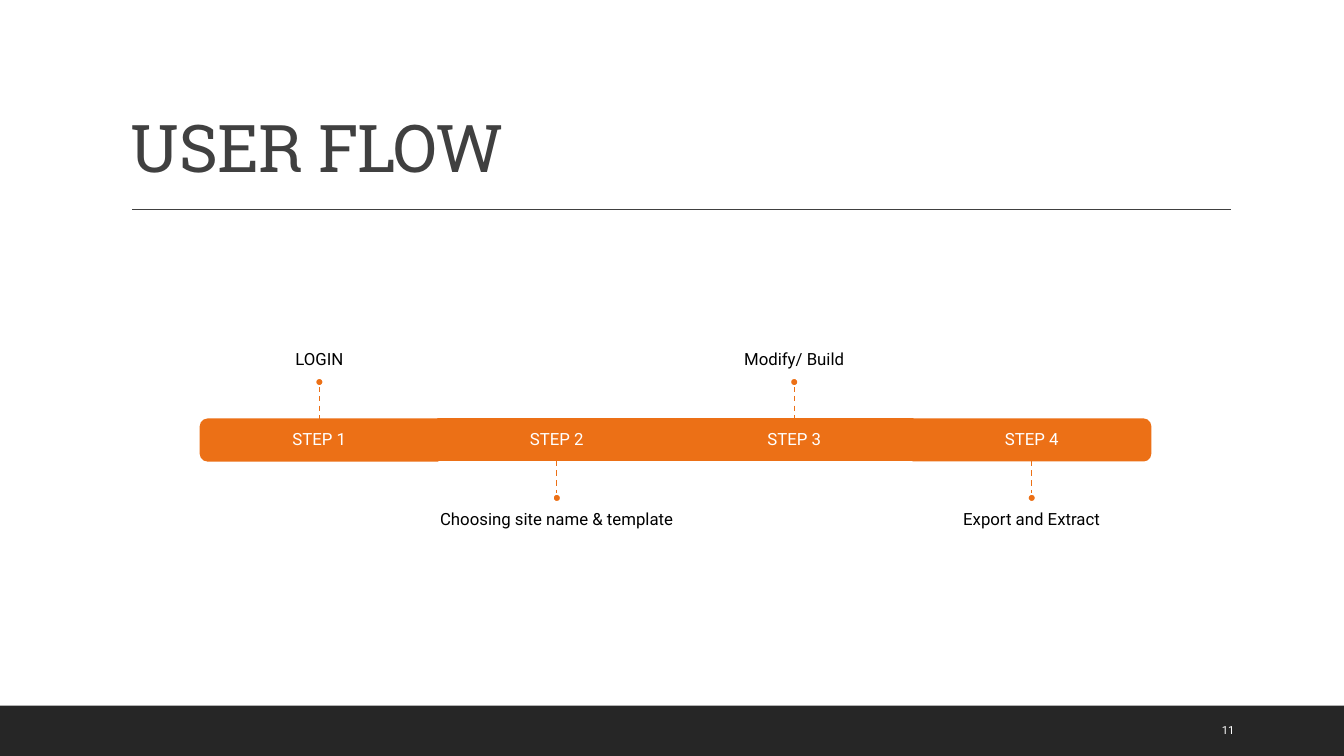
from lxml.etree import SubElement
from pptx import Presentation
from pptx.dml.color import RGBColor
from pptx.enum.dml import MSO_LINE
from pptx.enum.shapes import MSO_CONNECTOR, MSO_SHAPE
from pptx.enum.text import MSO_ANCHOR, PP_ALIGN
from pptx.oxml.ns import qn
from pptx.util import Inches, Pt

ORANGE, WHITE, GREY = "EC7016", "FFFFFF", "404040"

deck = Presentation()
deck.slide_width, deck.slide_height = Inches(13.33), Inches(7.5)
slide = deck.slides.add_slide(deck.slide_layouts[6])
shapes = slide.shapes


def paint(target, color):
    """Give a fill, or the fill of a line, one solid colour."""
    target.solid()
    target.fore_color.rgb = RGBColor.from_string(color)


def write(box, text, size, color, font="Roboto", align=PP_ALIGN.CENTER, **frame):
    """Put one line of text in a box; frame holds text frame values."""
    for name, value in {"word_wrap": True, **frame}.items():
        setattr(box.text_frame, name, value)
    para = box.text_frame.paragraphs[0]
    para.alignment, para.line_spacing = align, 0.9
    run = para.add_run()
    run.text = text
    for name, value in {"size": Pt(size), "name": font}.items():
        setattr(run.font, name, value)
    paint(run.font.fill, color)
    return run


# Footer band, title and rule
band = shapes.add_shape(MSO_SHAPE.RECTANGLE, 0, Inches(7), Inches(13.33), Inches(0.5))
band.shadow.inherit = False
paint(band.fill, "262626")
band.line.fill.background()

title = shapes.add_textbox(Inches(1.2), Inches(0.31), Inches(11), Inches(1.59))
run = write(title, "USER FLOW", 47, GREY, "Roboto Slab", PP_ALIGN.LEFT,
            vertical_anchor=MSO_ANCHOR.BOTTOM)
run.font._element.set("spc", "-50")

# Rule and stems: x1, y1, x2, y2, colour, dash
lines = [(1.31, 2.08, 12.21, 2.08, GREY, None)]

# Steps, with notes above and below by turns
notes = ["LOGIN", "Choosing site name & template", "Modify/ Build", "Export and Extract"]
left, top, width, high = 1.99, 4.16, 9.42 / 4, 0.41
stem, dot, wide, tall = 0.33, 0.08, 3.93, 1.45
turns = {0: 270, len(notes) - 1: 90}
dots = []

for i, note in enumerate(notes):
    mid = left + width * (i + 0.5)
    if i in turns:
        bar = shapes.add_shape(MSO_SHAPE.ROUND_2_SAME_RECTANGLE,
                               Inches(mid - high / 2), Inches(top + high / 2 - width / 2),
                               Inches(high), Inches(width))
        bar.rotation = turns[i]
    else:
        bar = shapes.add_shape(MSO_SHAPE.RECTANGLE, Inches(mid - width / 2), Inches(top),
                               Inches(width), Inches(high))
    bar.shadow.inherit = False
    paint(bar.fill, ORANGE)
    paint(bar.line.fill, ORANGE)
    bar.line.width = Pt(1.25)

    label = shapes.add_textbox(Inches(mid - width / 2), Inches(top), Inches(width), Inches(high))
    write(label, f"STEP {i + 1}", 12, WHITE, vertical_anchor=MSO_ANCHOR.MIDDLE)

    if i % 2 == 0:
        start, end = top - stem, top
        spot = start - dot
        edge, anchor = spot - tall, MSO_ANCHOR.BOTTOM
    else:
        start, end = top + high, top + high + stem
        spot = end
        edge, anchor = spot + dot, MSO_ANCHOR.TOP
    box = shapes.add_textbox(Inches(mid - wide / 2), Inches(edge), Inches(wide), Inches(tall))
    write(box, note, 12, "000000", vertical_anchor=anchor,
          margin_top=Inches(0.1), margin_bottom=Inches(0.1))
    lines.append((mid, start, mid, end, ORANGE, MSO_LINE.DASH))
    dots.append((mid - dot / 2, spot))

for *ends, color, dash in lines:
    line = shapes.add_connector(MSO_CONNECTOR.STRAIGHT, *map(Inches, ends))
    paint(line.line.fill, color)
    line.line.width = Pt(1)
    if dash:
        line.line.dash_style = dash
    SubElement(line._element.spPr, qn("a:effectLst"))

for x, y in dots:
    ball = shapes.add_shape(MSO_SHAPE.OVAL, Inches(x), Inches(y), Inches(dot), Inches(dot))
    ball.shadow.inherit = False
    paint(ball.fill, ORANGE)
    paint(ball.line.fill, WHITE)
    ball.line.width = Pt(1.25)

number = shapes.add_textbox(Inches(12.02), Inches(7.05), Inches(0.85), Inches(0.4))
write(number, "11", 8, WHITE, align=PP_ALIGN.LEFT, vertical_anchor=MSO_ANCHOR.MIDDLE)

deck.save("out.pptx")
